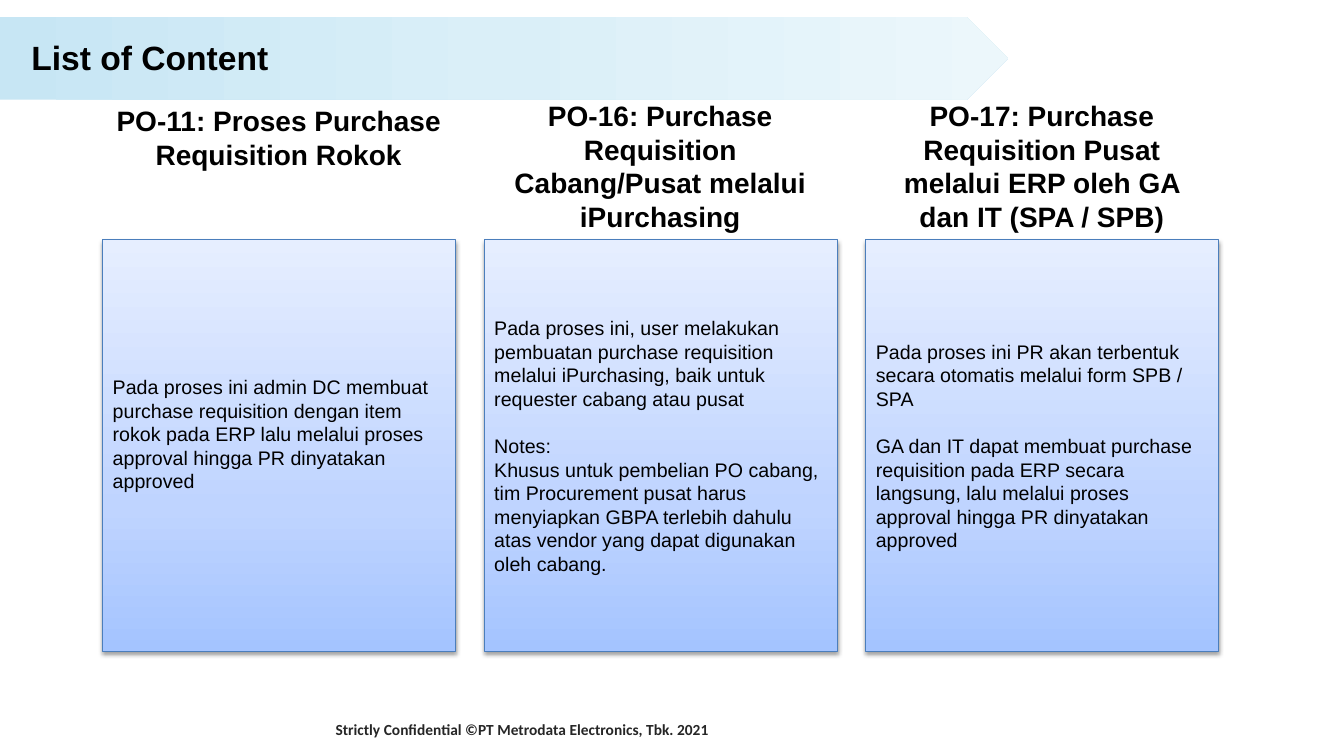
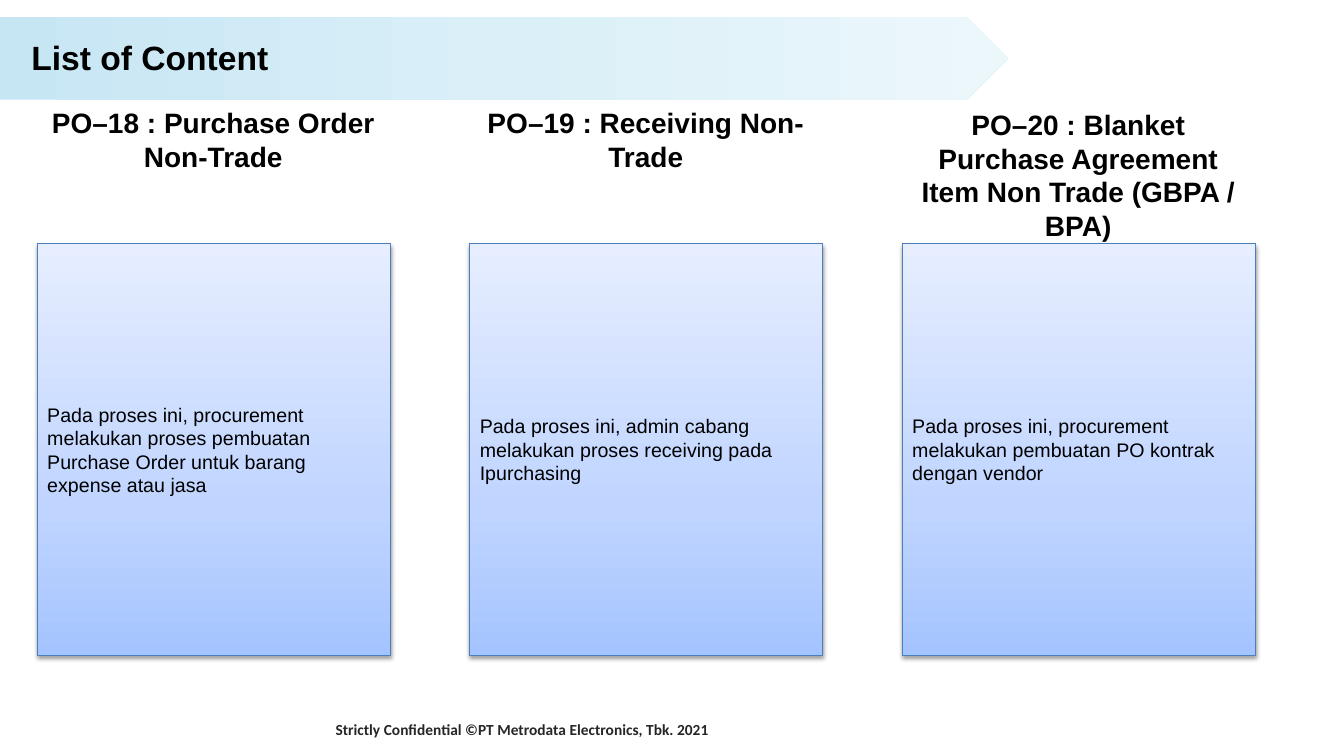
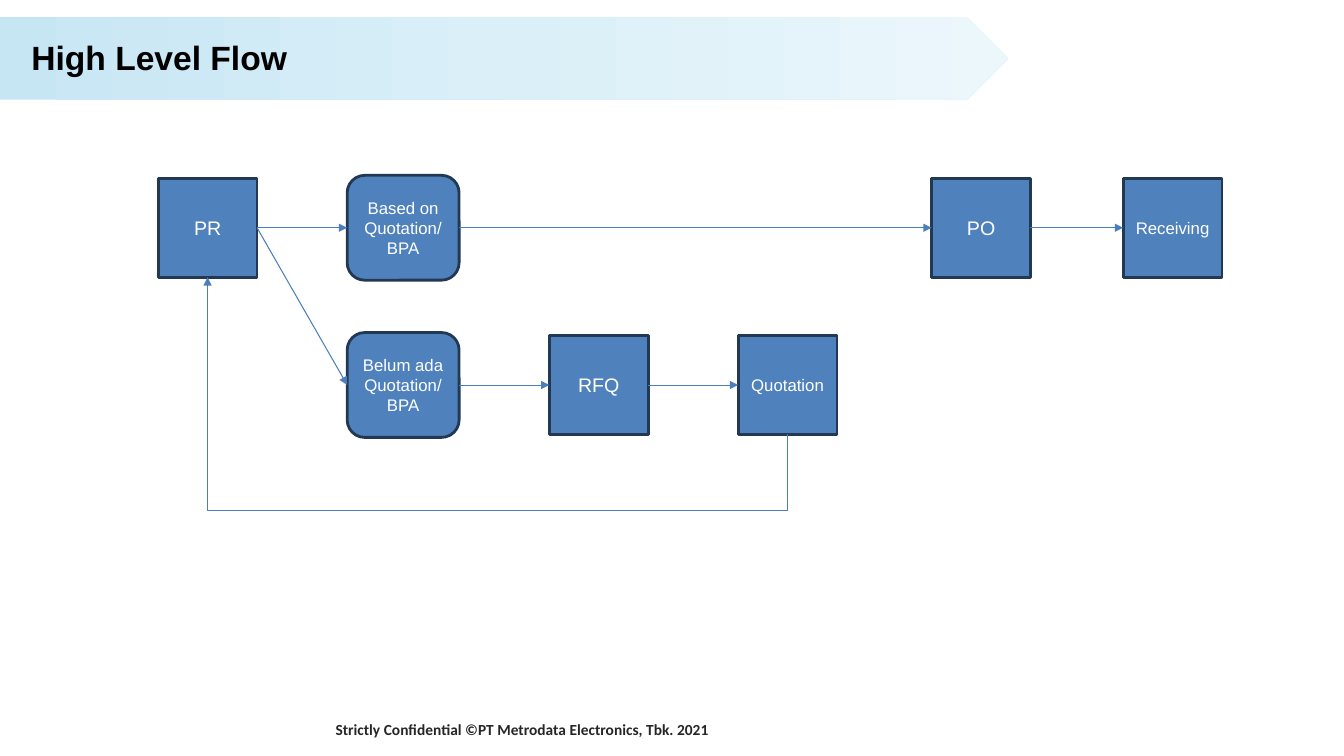
"""Build a three-slide deck on the purchase process: two content lists and a flow."""
from lxml.etree import SubElement
from pptx import Presentation
from pptx.dml.color import RGBColor as RGB
from pptx.enum.shapes import MSO_CONNECTOR as LINK, MSO_SHAPE as SHAPE
from pptx.enum.text import MSO_ANCHOR as ANCHOR, MSO_AUTO_SIZE as FIT, PP_ALIGN as ALIGN
from pptx.oxml.ns import qn
from pptx.util import Inches, Pt

BLACK = RGB(0x00, 0x00, 0x00)
WHITE = RGB(0xFF, 0xFF, 0xFF)
GREY = RGB(0x26, 0x26, 0x26)
BLUE = RGB(0x4F, 0x81, 0xBD)
NAVY = RGB(0x23, 0x39, 0x53)
EDGE = RGB(0x4B, 0x7E, 0xBC)
BAND = [(0, RGB(0xC7, 0xE6, 0xF4)), (50, RGB(0xDA, 0xEF, 0xF8)), (100, RGB(0xEC, 0xF7, 0xFB))]
CARD = [(0, RGB(0xA4, 0xC4, 0xFF)), (35, RGB(0xBF, 0xD4, 0xFF)), (100, RGB(0xE6, 0xEE, 0xFF))]

deck = Presentation()
deck.slide_width, deck.slide_height = Inches(13.33), Inches(7.5)
COL, ROW = deck.slide_width / 100, deck.slide_height / 100


def grid(left, top, wide, high):
    """Turn columns and rows of a 100 by 100 grid into lengths."""
    return round(left * COL), round(top * ROW), round(wide * COL), round(high * ROW)


def write(shape, lines, size, ink=BLACK, align=ALIGN.LEFT, anchor=ANCHOR.MIDDLE, bold=False, face="Arial"):
    """Fill a shape with paragraphs that share one style."""
    frame = shape.text_frame
    frame.word_wrap, frame.auto_size, frame.vertical_anchor = True, FIT.NONE, anchor
    frame.text = "\n".join(lines)
    for para in frame.paragraphs:
        para.alignment = align
        font = para.font
        font.name, font.size, font.bold = face, Pt(size), bold
        font.color.rgb = ink
    return frame


layout = deck.slide_layouts[5]
for spare in list(layout.placeholders)[1:]:
    spare.element.getparent().remove(spare.element)

slides = []
for name in ["List of Content", "List of Content", "High Level Flow"]:
    slide = deck.slides.add_slide(layout)
    title = slide.shapes.title
    title.left, title.top, title.width, title.height = grid(1.58, 4.27, 61.8, 6.67)
    write(title, [name], 24, bold=True)
    slides.append(slide)

band = slides[0].shapes.add_shape(SHAPE.PENTAGON, *grid(0, 2.27, 75, 10.93))
band.shadow.inherit = False
band.line.fill.background()
foot = slides[0].shapes.add_textbox(*grid(24.23, 93.87, 32.63, 5.33))
write(foot, ["Strictly Confidential ©PT Metrodata Electronics, Tbk. 2021"], 11, GREY, bold=True, face="Calibri")
for part in (band, foot):
    layout.shapes.element.append(part.element)
tints = [(band, BAND, 0)]

lists = [
    (7.65, 28.39, 31.73, [
        (13.07, "PO-11: Proses Purchase Requisition Rokok",
         ["Pada proses ini admin DC membuat purchase requisition dengan item rokok pada ERP "
          "lalu melalui proses approval hingga PR dinyatakan approved"]),
        (12.4, "PO-16: Purchase Requisition Cabang/Pusat melalui iPurchasing",
         ["Pada proses ini, user melakukan pembuatan purchase requisition melalui iPurchasing, "
          "baik untuk requester cabang atau pusat",
          "Notes:",
          "Khusus untuk pembelian PO cabang, tim Procurement pusat harus menyiapkan GBPA "
          "terlebih dahulu atas vendor yang dapat digunakan oleh cabang."]),
        (12.4, "PO-17: Purchase Requisition Pusat melalui ERP oleh GA dan IT (SPA / SPB)",
         ["Pada proses ini PR akan terbentuk secara otomatis melalui form SPB / SPA",
          "GA dan IT dapat membuat purchase requisition pada ERP secara langsung, "
          "lalu melalui proses approval hingga PR dinyatakan approved"]),
    ]),
    (2.78, 32.18, 32.27, [
        (13.33, "PO–18 : Purchase Order Non-Trade",
         ["Pada proses ini, procurement melakukan proses pembuatan Purchase Order "
          "untuk barang expense atau jasa"]),
        (13.33, "PO–19 : Receiving Non-Trade",
         ["Pada proses ini, admin cabang melakukan proses receiving pada Ipurchasing"]),
        (13.6, "PO–20 : Blanket Purchase Agreement Item Non Trade (GBPA / BPA)",
         ["Pada proses ini, procurement melakukan pembuatan PO kontrak dengan vendor"]),
    ]),
]
cards = []
for slide, (left, step, top, items) in zip(slides, lists):
    for num, (high, label, lines) in enumerate(items):
        side = left + num * step
        head = slide.shapes.add_textbox(*grid(side, high, 26.18, 19.33))
        write(head, [label], 20, align=ALIGN.CENTER, anchor=ANCHOR.TOP, bold=True)
        card = slide.shapes.add_shape(SHAPE.RECTANGLE, *grid(side, top, 26.25, 54.4))
        card.line.color.rgb, card.line.width = EDGE, Pt(0.75)
        card.shadow.inherit = False
        glow = SubElement(card.element.spPr.find(qn("a:effectLst")), qn("a:outerShdw"),
                          blurRad="40000", dist="20000", dir="5400000", rotWithShape="0")
        tone = SubElement(glow, qn("a:srgbClr"), val=str(BLACK))
        SubElement(tone, qn("a:alpha"), val="38000")
        frame = write(card, lines, 14)
        for para in frame.paragraphs[1:2]:
            para.space_before = Pt(17)
        tints.append((card, CARD, 90))
        cards.append(card)
cards[0].text_frame.margin_bottom = Inches(0.28)

for shape, stops, angle in tints:
    shape.fill.gradient()
    shape.fill.gradient_angle = angle
    ramp = shape.element.spPr.find(qn("a:gradFill")).find(qn("a:gsLst"))
    ramp.clear()
    for spot, tone in stops:
        stop = SubElement(ramp, qn("a:gs"), pos=str(spot * 1000))
        SubElement(stop, qn("a:srgbClr"), val=str(tone))

flow = slides[2].shapes
UPPER, LOWER = 30.13, 50.93
SQUARE = (SHAPE.RECTANGLE, 7.35, 13.07)
ROUND = (SHAPE.ROUNDED_RECTANGLE, 8.33, 13.87)
steps = [
    ("PR", SQUARE, 15.45, UPPER, 14),
    ("Based on Quotation/BPA", ROUND, 30, UPPER, 12),
    ("PO", SQUARE, 73, UPPER, 14),
    ("Receiving", SQUARE, 87.25, UPPER, 12),
    ("Belum ada Quotation/BPA", ROUND, 30, LOWER, 12),
    ("RFQ", SQUARE, 44.55, LOWER, 14),
    ("Quotation", SQUARE, 58.6, LOWER, 12),
]
nodes = []
for label, (kind, wide, high), mid, row, size in steps:
    node = flow.add_shape(kind, *grid(mid - wide / 2, row - high / 2, wide, high))
    node.shadow.inherit = False
    node.fill.solid()
    node.fill.fore_color.rgb = BLUE
    node.line.color.rgb, node.line.width = NAVY, Pt(2)
    write(node, [label], size, WHITE, ALIGN.CENTER)
    nodes.append(node)
need, based, order, receipt, lacking, request, quote = nodes

links = []
for start, end in [(need, based), (need, lacking), (based, order), (order, receipt),
                   (lacking, request), (request, quote)]:
    link = flow.add_connector(LINK.STRAIGHT, 0, 0, 0, 0)
    link.begin_connect(start, 3)
    link.end_connect(end, 1)
    links.append(link)

low, base = need.top + need.height, quote.top + quote.height
near, far = need.left + need.width // 2, quote.left + quote.width // 2
midx, midy = (near + far) // 2, (low + base) // 2
rise, run = (base - low) // 2, (far - near) // 2
back = flow.add_connector(LINK.ELBOW, midx + rise, midy - run, midx - rise, midy + run)
back.element.spPr.find(qn("a:xfrm")).set("rot", "5400000")
shape = back.element.spPr.find(qn("a:prstGeom"))
SubElement(shape.find(qn("a:avLst")), qn("a:gd"), name="adj1", fmla="val -48600")
links.append(back)

for link in links:
    link.line.color.rgb, link.line.width = EDGE, Pt(0.75)
    SubElement(link.element.spPr.find(qn("a:ln")), qn("a:tailEnd"), type="triangle")
    SubElement(link.element.spPr, qn("a:effectLst"))

deck.save("out.pptx")
